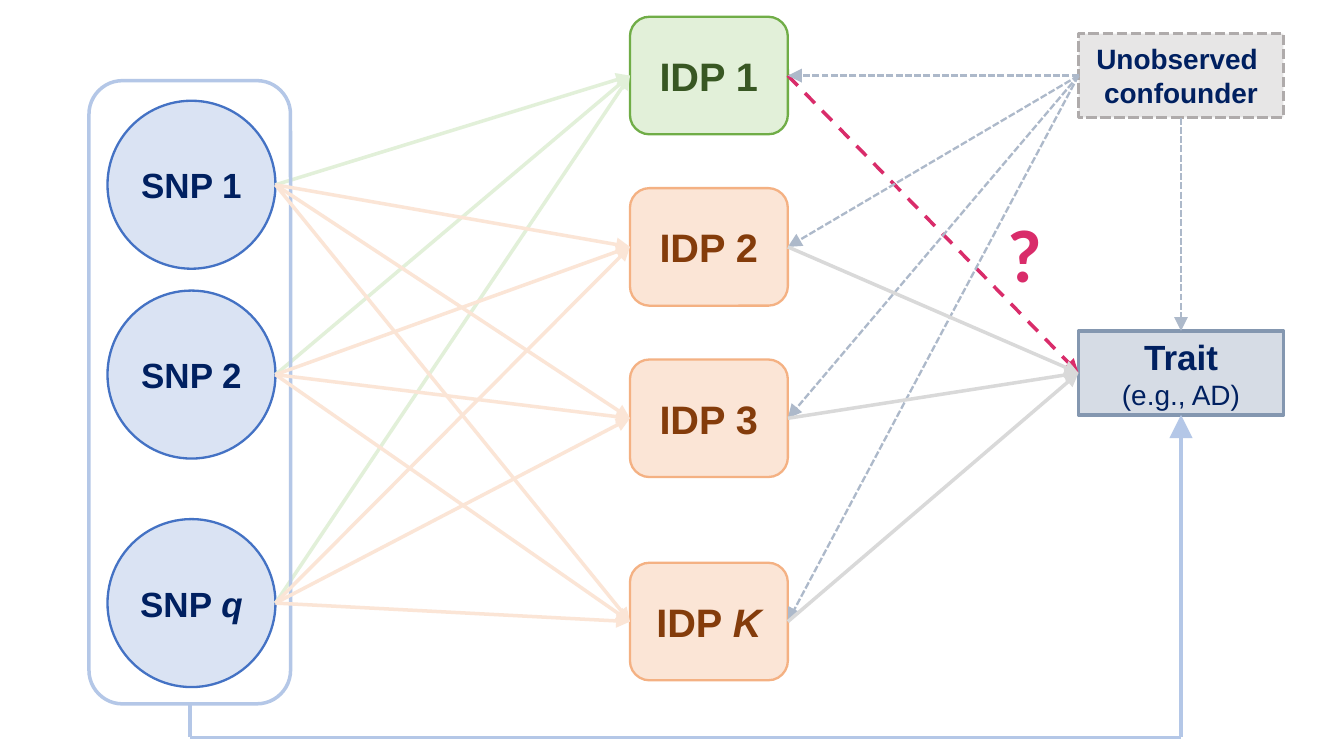
from dataclasses import dataclass
from typing import Any, Optional

from lxml import etree
from pptx import Presentation
from pptx import util as u
from pptx.dml.color import RGBColor
from pptx.enum import dml, shapes, text
from pptx.oxml import ns
from pptx.shapes import autoshape, connector

NAVY = RGBColor(0x00, 0x20, 0x60)
SNP_FILL = RGBColor(0xDA, 0xE3, 0xF3)
SNP_EDGE = RGBColor(0x44, 0x72, 0xC4)
PALE_BLUE = RGBColor(0xB4, 0xC7, 0xE7)
GREEN_FILL = RGBColor(0xE2, 0xF0, 0xD9)
GREEN_EDGE = RGBColor(0x70, 0xAD, 0x47)
GREEN_TEXT = RGBColor(0x38, 0x57, 0x23)
ORANGE_FILL = RGBColor(0xFB, 0xE5, 0xD6)
ORANGE_EDGE = RGBColor(0xF4, 0xB1, 0x83)
BROWN = RGBColor(0x84, 0x3C, 0x0B)
TRAIT_FILL = RGBColor(0xD6, 0xDC, 0xE5)
TRAIT_EDGE = RGBColor(0x84, 0x97, 0xB0)
HIDDEN_FILL = RGBColor(0xE7, 0xE6, 0xE6)
HIDDEN_EDGE = RGBColor(0xAF, 0xAB, 0xAB)
CONFOUNDING = RGBColor(0xAD, 0xB9, 0xCA)
KNOWN_EFFECT = RGBColor(0xD9, 0xD9, 0xD9)
QUESTION = RGBColor(0xD9, 0x2C, 0x6A)

KIND = shapes.MSO_SHAPE
DASH = dml.MSO_LINE
TOP, LEFT, BOTTOM, RIGHT = range(4)


@dataclass(frozen=True)
class Span:
    words: str
    format: dict[str, Any]


@dataclass(frozen=True)
class Node:
    kind: KIND
    x: float
    y: float
    width: float
    height: float
    edge: RGBColor
    fill: Optional[RGBColor] = None
    weight: float = 1
    dash: Optional[DASH] = None
    ink: RGBColor = NAVY
    lines: tuple[tuple[Span, ...], ...] = ()


@dataclass(frozen=True)
class Stroke:
    color: RGBColor
    weight: float = 1.5
    dash: Optional[DASH] = None
    head: Optional[str] = "med"


@dataclass(frozen=True)
class Port:
    x: float = 0
    y: float = 0
    node: Optional[autoshape.Shape] = None
    side: int = TOP


def style_line(line: Any, color: RGBColor, weight: float, dash: Optional[DASH]) -> None:
    line.color.rgb = color
    line.width = u.Pt(weight)
    if dash is not None:
        line.dash_style = dash


def write(frame: Any, lines: tuple[tuple[Span, ...], ...], ink: RGBColor,
          align: text.PP_ALIGN = text.PP_ALIGN.CENTER) -> None:
    for number, spans in enumerate(lines):
        paragraph = frame.add_paragraph() if number else frame.paragraphs[0]
        paragraph.alignment = align
        for span in spans:
            run = paragraph.add_run()
            run.text = span.words
            run.font.color.rgb = ink
            for key, value in {"name": "Arial", "bold": True, **span.format}.items():
                setattr(run.font, key, value)


def draw_node(slide: Any, node: Node) -> autoshape.Shape:
    box = slide.shapes.add_shape(
        node.kind, *map(u.Inches, (node.x, node.y, node.width, node.height)))
    box.shadow.inherit = False
    if node.fill is None:
        box.fill.background()
    else:
        box.fill.solid()
        box.fill.fore_color.rgb = node.fill
    style_line(box.line, node.edge, node.weight, node.dash)
    if node.lines:
        frame = box.text_frame
        layout = {"margin_left": 0, "margin_right": 0, "margin_top": 0,
                  "margin_bottom": 0, "word_wrap": False,
                  "vertical_anchor": text.MSO_ANCHOR.MIDDLE}
        for key, value in layout.items():
            setattr(frame, key, value)
        write(frame, node.lines, node.ink)
    return box


def draw_link(slide: Any, start: Port, end: Port, stroke: Stroke) -> connector.Connector:
    link = slide.shapes.add_connector(
        shapes.MSO_CONNECTOR.STRAIGHT,
        *map(u.Inches, (start.x, start.y, end.x, end.y)))
    if start.node is not None:
        link.begin_connect(start.node, start.side)
    if end.node is not None:
        link.end_connect(end.node, end.side)
    style_line(link.line, stroke.color, stroke.weight, stroke.dash)
    if stroke.head:
        etree.SubElement(link.line._get_or_add_ln(), ns.qn("a:tailEnd"),
                         type="triangle", w=stroke.head, len=stroke.head)
    etree.SubElement(link._element.spPr, ns.qn("a:effectLst"))
    return link


def numbered(stem: str, index: str, size: float) -> tuple[tuple[Span, ...], ...]:
    font = {"size": u.Pt(size)}
    if index.isdigit():
        return ((Span(f"{stem} {index}", font),),)
    return ((Span(f"{stem} ", font), Span(index, {**font, "italic": True})),)


def main() -> None:
    deck = Presentation()
    deck.slide_width, deck.slide_height = u.Inches(8), u.Inches(4.5)
    slide = deck.slides.add_slide(deck.slide_layouts[6])

    snp_ports = []
    for index, y in (("1", 0.6), ("2", 1.73), ("q", 3.09)):
        draw_node(slide, Node(KIND.OVAL, 0.64, y, 1, 1, SNP_EDGE, SNP_FILL,
                              lines=numbered("SNP", index, 15)))
        snp_ports.append(Port(1.64, y + 0.5))

    idps = []
    for index, y in (("1", 0.1), ("2", 1.12), ("3", 2.14), ("K", 3.35)):
        edge, fill, ink = ((ORANGE_EDGE, ORANGE_FILL, BROWN) if idps
                           else (GREEN_EDGE, GREEN_FILL, GREEN_TEXT))
        idps.append(draw_node(slide, Node(
            KIND.ROUNDED_RECTANGLE, 3.75, y, 0.94, 0.7, edge, fill, ink=ink,
            lines=numbered("IDP", index, 17))))

    small = {"size": u.Pt(12)}
    trait = draw_node(slide, Node(
        KIND.RECTANGLE, 6.42, 1.97, 1.22, 0.5, TRAIT_EDGE, TRAIT_FILL, 1.5,
        lines=((Span("Trait", {"size": u.Pt(15)}),),
               (Span("(e.g., AD)", {**small, "bold": False}),))))
    confounder = draw_node(slide, Node(
        KIND.RECTANGLE, 6.42, 0.2, 1.22, 0.5, HIDDEN_EDGE, HIDDEN_FILL, 1.5,
        DASH.SQUARE_DOT,
        lines=((Span("Unobserved ", small),), (Span("confounder", small),))))

    question = slide.shapes.add_textbox(*map(u.Inches, (5.9, 1.19, 0.41, 0.64)))
    write(question.text_frame,
          ((Span("?", {"name": "Calibri", "size": u.Pt(32)}),),),
          QUESTION, text.PP_ALIGN.LEFT)

    tested, *others = idps
    trait_port = Port(node=trait, side=LEFT)
    confounding = Stroke(CONFOUNDING, 1, DASH.SQUARE_DOT)
    for snp in snp_ports:
        draw_link(slide, snp, Port(node=tested, side=LEFT), Stroke(GREEN_FILL))
    draw_link(slide, Port(node=tested, side=RIGHT), trait_port,
              Stroke(QUESTION, dash=DASH.DASH))
    draw_link(slide, Port(node=confounder, side=BOTTOM),
              Port(node=trait, side=TOP), confounding)

    snp_group = draw_node(slide, Node(
        KIND.ROUNDED_RECTANGLE, 0.53, 0.48, 1.2, 3.71, PALE_BLUE, weight=1.5))
    for snp in snp_ports:
        for idp in others:
            draw_link(slide, snp, Port(node=idp, side=LEFT), Stroke(ORANGE_FILL))
    for idp in idps:
        draw_link(slide, Port(node=confounder, side=LEFT),
                  Port(node=idp, side=RIGHT), confounding)
    for idp in others:
        draw_link(slide, Port(node=idp, side=RIGHT), trait_port, Stroke(KNOWN_EFFECT))

    left_corner, right_corner = Port(1.13, 4.39), Port(7.03, 4.39)
    plain = Stroke(PALE_BLUE, head=None)
    draw_link(slide, Port(node=snp_group, side=BOTTOM), left_corner, plain)
    draw_link(slide, left_corner, right_corner, plain)
    draw_link(slide, right_corner, Port(node=trait, side=BOTTOM),
              Stroke(PALE_BLUE, head="lg"))

    deck.save("out.pptx")


if __name__ == "__main__":
    main()
